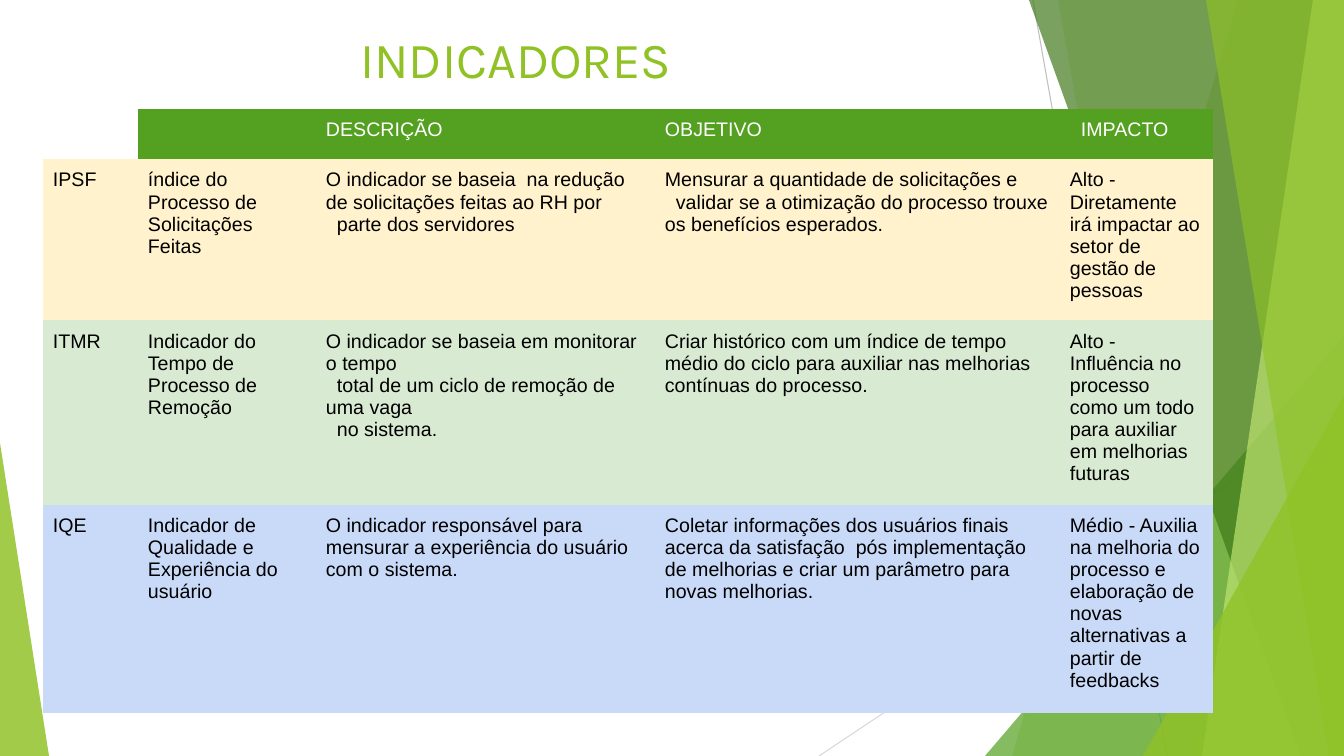
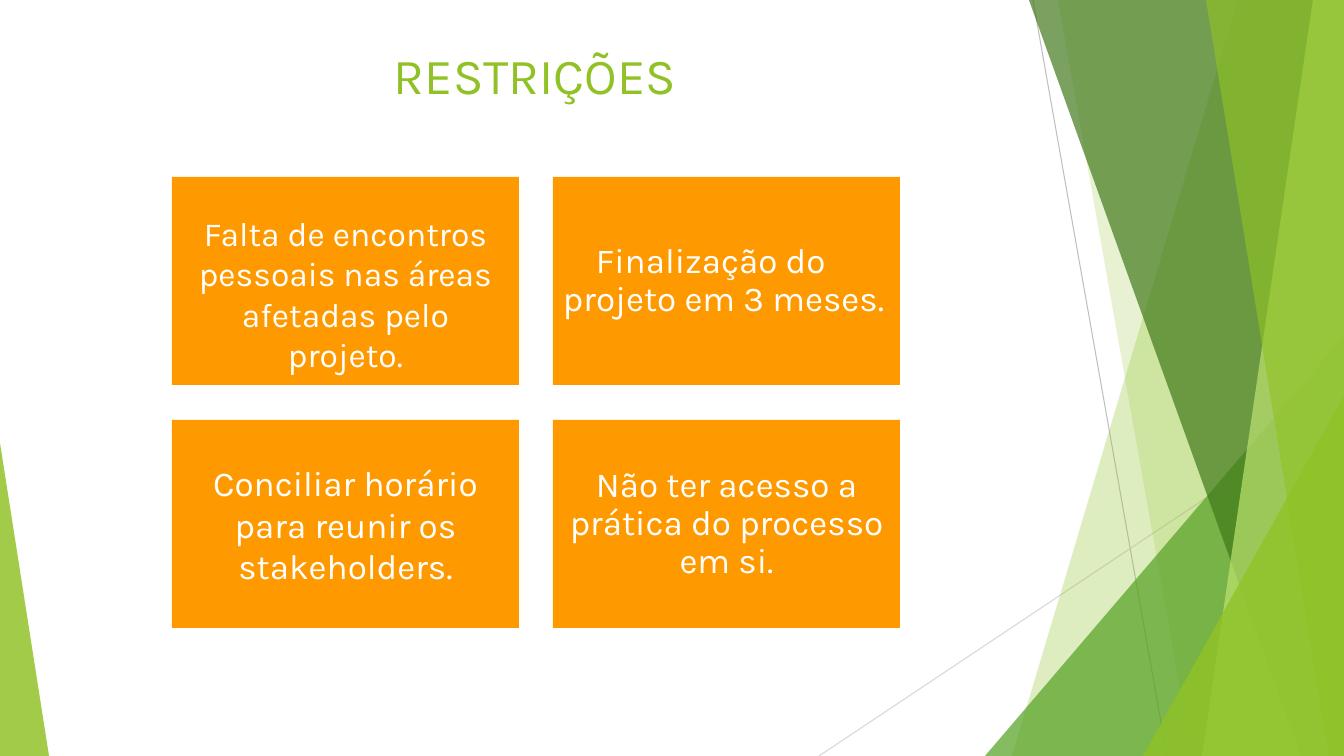
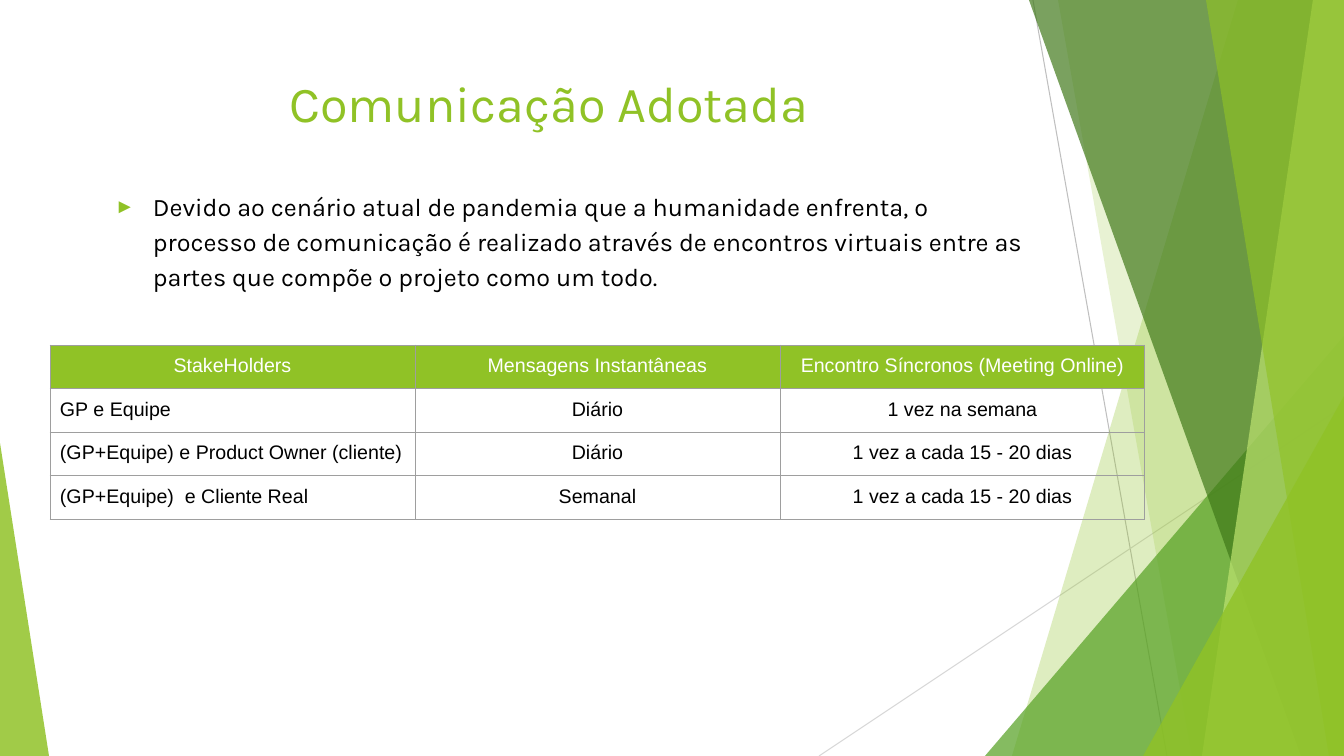
from dataclasses import dataclass
from itertools import product

from lxml import etree
from pptx import Presentation
from pptx import util as u
from pptx.dml.color import RGBColor
from pptx.enum import shapes, text
from pptx.oxml import ns

WIDE, HIGH = 1344, 756
PX = 12192000 / WIDE
PAD = 10
NO_STYLE = "{2D5ABB26-0587-4C30-8999-92F81FD0307C}"
MID = text.PP_ALIGN.CENTER
LEFT = text.PP_ALIGN.LEFT


@dataclass(frozen=True)
class Theme:
    lime: str = "90C226"
    green: str = "54A021"
    dark: str = "3F7818"
    pale: str = "BFE471"
    orange: str = "FF9900"
    cream: str = "FFF2CC"
    mint: str = "D9EAD3"
    sky: str = "C9DAF8"
    white: str = "FFFFFF"
    black: str = "000000"
    grid: str = "9E9E9E"
    rays: tuple = ("BFBFBF", "D8D8D8")
    head: str = "Karla"
    body: str = "Arial"
    big: int = 36
    card: int = 25
    lead: int = 18
    cell: int = 14


T = Theme()


def px(n):
    return u.Emu(round(n * PX))


def box(*spans):
    return [px(n) for n in spans]


def rgb(code):
    return RGBColor.from_string(code)


def put(item, **vals):
    for name, val in vals.items():
        setattr(item, name, val)


def node(top, tag, **vals):
    return etree.SubElement(top, ns.qn(tag), {k: str(v) for k, v in vals.items()})


def paint(item, code):
    item.fill.solid()
    item.fill.fore_color.rgb = rgb(code)


def plain(shape, code, alpha=100):
    """Flat fill with no line or shadow; alpha is a percentage."""
    shape.shadow.inherit = False
    paint(shape, code)
    shape.line.fill.background()
    if alpha < 100:
        tone = shape.element.spPr.find(".//" + ns.qn("a:srgbClr"))
        node(tone, "a:alpha", val=alpha * 1000)


def write(frame, words, code, size, font=T.head, **form):
    """One paragraph a line; a line led by two spaces gets a first-line indent."""
    for i, line in enumerate(words.split("\n")):
        para = frame.add_paragraph() if i else frame.paragraphs[0]
        put(para, **form)
        if line.startswith("  "):
            para.element.get_or_add_pPr().set("indent", str(px(11))) if hasattr(
                para, "element") else para._p.get_or_add_pPr().set("indent", str(px(11)))
        run = para.add_run()
        run.text = line.strip()
        put(run.font, name=font, size=u.Pt(size))
        run.font.color.rgb = rgb(code)


def label(slide, spot, words, code, size, **form):
    frame = slide.shapes.add_textbox(*box(*spot)).text_frame
    put(frame, word_wrap=True, margin_left=px(PAD), margin_right=px(PAD),
        margin_top=px(5), margin_bottom=px(5))
    write(frame, words, code, size, **form)
    return frame


def title(slide, x, y, words):
    label(slide, (x, y, 948, 145), words, T.lime, T.big, alignment=MID)


def ray(group, ends, code):
    line = group.add_connector(shapes.MSO_CONNECTOR.STRAIGHT, *box(*ends))
    line.line.color.rgb = rgb(code)
    line.line.width = u.Pt(0.75)
    node(line.element.spPr, "a:effectLst")


def band(group, top, low, code, alpha):
    """Slanted band that reaches the right edge of the slide."""
    pen = group.build_freeform(top, 0, scale=PX)
    pen.add_line_segments([(WIDE, 0), (WIDE, HIGH), (low, HIGH)])
    plain(pen.convert_to_shape(), code, alpha)


def wedge(group, x, y, wide, apex, code, alpha):
    """Right triangle that stands on the bottom edge."""
    kind = shapes.MSO_SHAPE.ISOSCELES_TRIANGLE
    shape = group.add_shape(kind, *box(x, y, wide, HIGH - y))
    shape.adjustments[0] = apex
    plain(shape, code, alpha)


def facets(slide, layout):
    """Draw the shared backdrop and move it to the layout."""
    for holder in list(layout.placeholders):
        layout.shapes.element.remove(holder.element)
    whole = slide.shapes.add_group_shape()
    group = whole.shapes
    for ends, code in zip([(1033, 0, 1167, HIGH), (WIDE, 406, 819, HIGH)], T.rays):
        ray(group, ends, code)
    band(group, 1238, 1012, T.lime, 29)
    band(group, 1058, 1192, T.lime, 20)
    wedge(group, 985, 336, 359, 1, T.green, 71)
    band(group, 1029, 1301, T.dark, 69)
    band(group, 1313, 1202, T.pale, 69)
    band(group, 1206, 1329, T.lime, 64)
    wedge(group, 1143, 396, 201, 1, T.lime, 80)
    wedge(group, 0, 443, 49, 0, T.lime, 84)
    layout.shapes.element.append(whole.element)


def edge(cell, code):
    props = cell._tc.get_or_add_tcPr()
    for side in "LRTB":
        line = node(props, "a:ln" + side, w=u.Pt(0.75))
        node(node(line, "a:solidFill"), "a:srgbClr", val=code)


def table(slide, x, y, cols, rows, data, fills, aligns, rim=None):
    """fills holds one colour a row, or None for a clear row."""
    spot = box(x, y, sum(cols), sum(rows))
    shape = slide.shapes.add_table(len(rows), len(cols), *spot)
    shape.element.find(".//" + ns.qn("a:tableStyleId")).text = NO_STYLE
    grid = shape.table
    put(grid, first_row=False, horz_banding=False)
    for col, wide in zip(grid.columns, cols):
        col.width = px(wide)
    for row, high in zip(grid.rows, rows):
        row.height = px(high)
    for r, c in product(range(len(rows)), range(len(cols))):
        cell, words = grid.cell(r, c), data[r][c]
        put(cell, **{"margin_" + s: px(PAD) for s in ("left", "right", "top", "bottom")})
        if rim:
            edge(cell, rim)
        if fills[r] and words is not None:
            paint(cell, fills[r])
        else:
            cell.fill.background()
        if words:
            write(cell.text_frame, words, T.black if r else T.white, T.cell, T.body,
                  alignment=aligns[c] if r else aligns[-1])


def card(slide, x, y, words, size=T.card, lift=0, inset=0, **form):
    """lift adds to the top margin; inset indents the first line."""
    shape = slide.shapes.add_shape(shapes.MSO_SHAPE.RECTANGLE, *box(x, y, 347, 208))
    plain(shape, T.orange)
    frame = shape.text_frame
    put(frame, word_wrap=True, vertical_anchor=text.MSO_ANCHOR.MIDDLE,
        margin_left=px(PAD), margin_right=px(PAD),
        margin_top=px(PAD + lift), margin_bottom=px(PAD))
    write(frame, words, T.white, size, **{"alignment": MID, **form})
    if inset:
        frame.paragraphs[0]._p.get_or_add_pPr().set("indent", str(px(inset)))


def bullet(para):
    props = para._p.get_or_add_pPr()
    put_in = {"marL": px(50), "indent": px(-38)}
    for name, val in put_in.items():
        props.set(name, str(val))
    node(node(props, "a:buClr"), "a:srgbClr", val=T.lime)
    node(props, "a:buSzPct", val=80000)
    node(props, "a:buFont", typeface=T.body)
    node(props, "a:buChar", char="►")


def metrics(slide):
    title(slide, 42, 23, "INDICADORES")
    data = [
        (None, "", "DESCRIÇÃO", "OBJETIVO", "  IMPACTO"),
        ("IPSF", "índice do Processo de Solicitações Feitas",
         "O indicador se baseia  na redução de solicitações feitas ao RH por\n"
         "  parte dos servidores",
         "Mensurar a quantidade de solicitações e\n"
         "  validar se a otimização do processo trouxe os benefícios esperados.",
         "Alto - Diretamente irá impactar ao setor de gestão de pessoas"),
        ("ITMR", "Indicador do Tempo de Processo de Remoção",
         "O indicador se baseia em monitorar o tempo\n"
         "  total de um ciclo de remoção de uma vaga\n  no sistema.",
         "Criar histórico com um índice de tempo médio do ciclo para auxiliar "
         "nas melhorias contínuas do processo.",
         "Alto - Influência no processo como um todo para auxiliar em melhorias futuras"),
        ("IQE", "Indicador de Qualidade e Experiência do usuário",
         "O indicador responsável para mensurar a experiência do usuário com o sistema.",
         "Coletar informações dos usuários finais acerca da satisfação  pós "
         "implementação de melhorias e criar um parâmetro para novas melhorias.",
         "Médio - Auxilia na melhoria do processo e elaboração de novas "
         "alternativas a partir de feedbacks"),
    ]
    table(slide, 43, 109, [95, 178, 339, 405, 153], [50, 152, 174, 196], data,
          [T.green, T.cream, T.mint, T.sky], [LEFT] * 5)


def limits(slide):
    title(slide, 61, 39, "RESTRIÇÕES")
    cards = [
        dict(words="Falta de encontros pessoais nas áreas afetadas pelo projeto.",
             size=24, lift=25),
        dict(words="Finalização do projeto em 3 meses.", inset=33,
             alignment=LEFT, line_spacing=0.9),
        dict(words="Conciliar horário para reunir os stakeholders.",
             space_before=u.Pt(10)),
        dict(words="Não ter acesso a prática do processo em si.", line_spacing=0.9),
    ]
    for i, form in enumerate(cards):
        card(slide, 172 + i % 2 * 381, 177 + i // 2 * 243, **form)


def contact(slide):
    title(slide, 75, 67, "Comunicação Adotada")
    frame = label(
        slide, (93, 182, 948, 145),
        "Devido ao cenário atual de pandemia que a humanidade enfrenta, o processo de "
        "comunicação é realizado através de encontros virtuais entre as partes que "
        "compõe o projeto como um todo.",
        T.black, T.lead, line_spacing=1.15, space_before=u.Pt(12))
    bullet(frame.paragraphs[0])
    data = [
        ("StakeHolders", "Mensagens Instantâneas", "Encontro Síncronos (Meeting Online)"),
        ("GP e Equipe", "Diário", "1 vez na semana"),
        ("(GP+Equipe) e Product Owner (cliente)", "Diário", "1 vez a cada 15 - 20 dias"),
        ("(GP+Equipe)  e Cliente Real", "Semanal", "1 vez a cada 15 - 20 dias"),
    ]
    table(slide, 50, 345, [365] * 3, [42] * 4, data, [T.lime, None, None, None],
          [LEFT, MID, MID], T.grid)


def main():
    prs = Presentation()
    put(prs, slide_width=px(WIDE), slide_height=px(HIGH))
    layout = prs.slide_layouts[6]
    for i, fill in enumerate((metrics, limits, contact)):
        slide = prs.slides.add_slide(layout)
        if not i:
            facets(slide, layout)
        fill(slide)
    prs.save("out.pptx")


if __name__ == "__main__":
    main()
